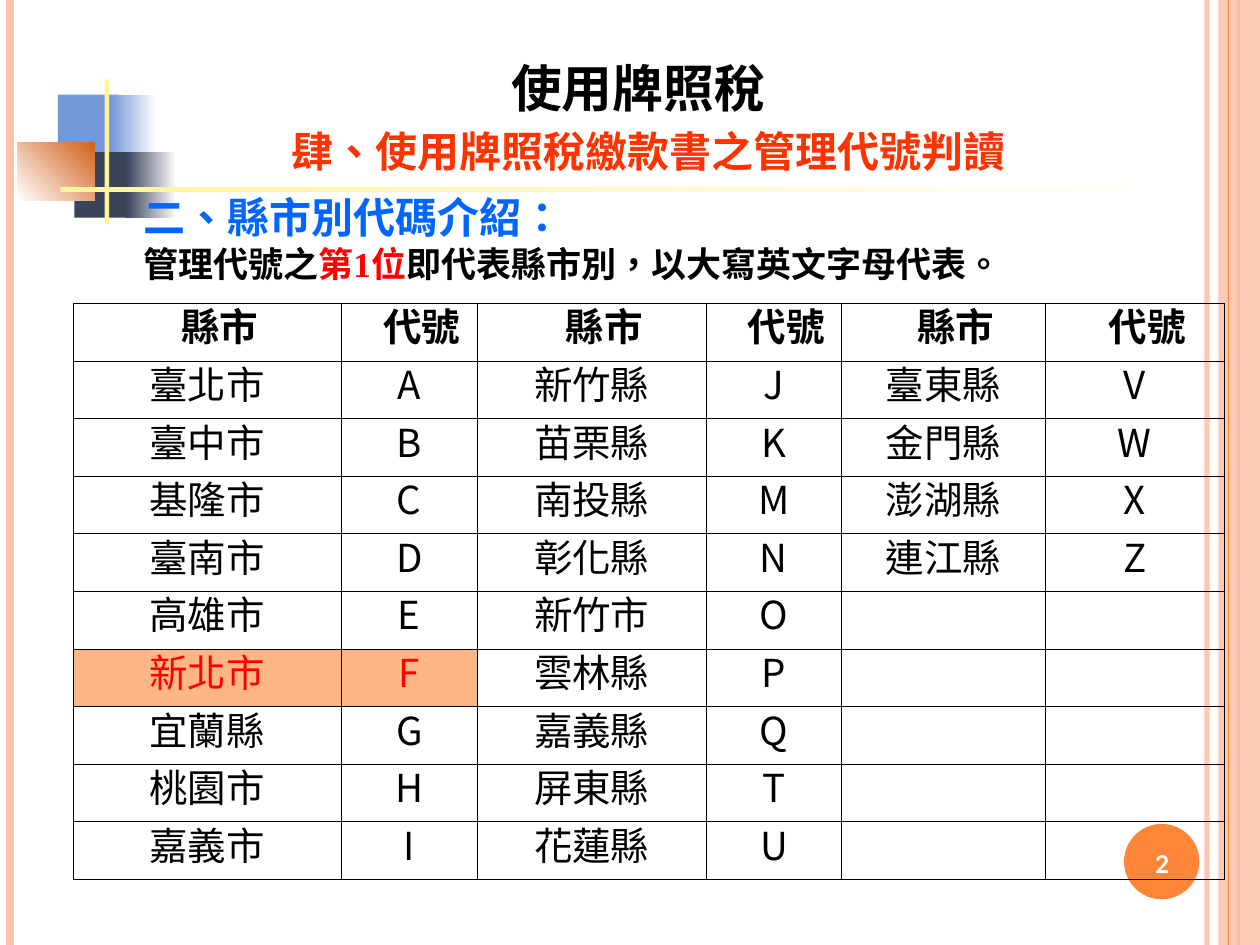
import pptx
import pptx.util
import pptx.dml.color
import pptx.enum.shapes
import pptx.enum.text
import pptx.enum.lang
import pptx.oxml
import pptx.oxml.ns
import lxml.etree

Cm, Pt = pptx.util.Cm, pptx.util.Pt
ALIGN = pptx.enum.text.PP_ALIGN
ANCHOR = pptx.enum.text.MSO_ANCHOR
KIND = pptx.enum.shapes.MSO_SHAPE
TAIWAN = pptx.enum.lang.MSO_LANGUAGE_ID.TRADITIONAL_CHINESE
SERIF, SANS = "Times New Roman", "Noto Sans CJK SC"
WIDE, HIGH = 25.4, 19.05

TITLE = "使用牌照稅"
BODY = [
    ([("肆、使用牌照稅繳款書之管理代號判讀", "FF3300")], 24,
     dict(alignment=ALIGN.CENTER, line_spacing=1.1, space_before=Pt(6)), 0),
    ([("二、縣市別代碼介紹：", "0066FF")], 24,
     dict(alignment=ALIGN.LEFT, line_spacing=1.1, space_before=Pt(6)), 1.16),
    ([("管理代號之", "000000"), ("第1位", "FF0000"),
      ("即代表縣市別，以大寫英文字母代表。", "000000")], 20,
     dict(alignment=ALIGN.LEFT, line_spacing=1.0, space_before=Pt(0)), 1.16),
]
HEAD = ("縣市", "代號")
GROUPS = [
    [("臺北市", "A"), ("臺中市", "B"), ("基隆市", "C"), ("臺南市", "D"), ("高雄市", "E"),
     ("新北市", "F"), ("宜蘭縣", "G"), ("桃園市", "H"), ("嘉義市", "I")],
    [("新竹縣", "J"), ("苗栗縣", "K"), ("南投縣", "M"), ("彰化縣", "N"), ("新竹市", "O"),
     ("雲林縣", "P"), ("嘉義縣", "Q"), ("屏東縣", "T"), ("花蓮縣", "U")],
    [("臺東縣", "V"), ("金門縣", "W"), ("澎湖縣", "X"), ("連江縣", "Z")],
]
MARKED = "新北市"
COLS = [5.41, 2.74, 4.62, 2.72, 4.11, 3.61]
ROW = 1.16

RULES = [(24.33, "FEC3AE", 3, 93), (0.2, "FEC3AE", 4.5, 100), (24.97, "FE8637", 1.5, 100)]
EDGE = (24.77, "FE8637", 0.75, 100)
BAND = (24.56, 0, 0.84, HIGH)
BADGE = (22.66, 16.61, 1.52, 1.52)
BLOCKS = [
    ((1.17, 1.91, 1.22, 1.32), ["7598D9"], 0),
    ((2.24, 1.91, 0.91, 1.32), ["7598D9", "FFFFFF"], 0),
    ((1.5, 3.07, 1.17, 1.32), ["3B435B"], 0),
    ((2.54, 3.07, 1.02, 1.32), ["3B435B", "FFFFFF"], 0),
    ((0.36, 2.87, 1.55, 1.17), ["FFFFFF", "D2611C"], 45),
    ((2.11, 1.6, 0.09, 2.92), ["FFF39D"], 0),
    ((1.22, 3.78, 22.86, 0.09), ["FFF39D", "FFFFFF"], 0),
]


def put(obj, **vals):
    """Set each named attribute on an object."""
    for key, val in vals.items():
        setattr(obj, key, val)


def paint(fill, code, alpha=100):
    """Fill with a hex colour at an opacity in percent."""
    fill.solid()
    fill.fore_color.rgb = pptx.dml.color.RGBColor.from_string(code)
    if alpha < 100:
        clr = next(fill._xPr.iter(pptx.oxml.ns.qn("a:srgbClr")))
        lxml.etree.SubElement(clr, pptx.oxml.ns.qn("a:alpha"), val=str(alpha * 1000))


def move(shape, box):
    """Place a shape at left, top, width and height in cm."""
    put(shape, **dict(zip(("left", "top", "width", "height"), map(Cm, box))))


def block(shapes, box, codes, turn=0, alpha=100, kind=KIND.RECTANGLE):
    """Draw a borderless shape in one colour or a gradient."""
    shape = shapes.add_shape(kind, *map(Cm, box))
    shape.shadow.inherit = False
    shape.line.fill.background()
    if len(codes) == 1:
        paint(shape.fill, codes[0], alpha)
        return
    shape.fill.gradient()
    shape.fill.gradient_angle = turn
    for stop, code in zip(shape.fill.gradient_stops, codes):
        stop.color.rgb = pptx.dml.color.RGBColor.from_string(code)


def rule(shapes, x, code, width, alpha):
    """Draw a full-height vertical line."""
    line = shapes.add_connector(pptx.enum.shapes.MSO_CONNECTOR.STRAIGHT,
                                Cm(x), 0, Cm(x), Cm(HIGH))
    line.line.width = Pt(width)
    paint(line.line.fill, code, alpha)
    lxml.etree.SubElement(line._element.spPr, pptx.oxml.ns.qn("a:effectLst"))


def write(para, text, code, size, name=SERIF, bold=True):
    """Add a formatted run to a paragraph."""
    run = para.add_run()
    run.text = text
    put(run.font, size=Pt(size), name=name, bold=bold, language_id=TAIWAN)
    paint(run.font.fill, code)


def indent(para, left):
    """Set a left margin in cm and drop the bullet."""
    props = para._p.get_or_add_pPr()
    props.set("marL", str(Cm(left)))
    props.set("indent", "0")
    lxml.etree.SubElement(props, pptx.oxml.ns.qn("a:buNone"))


def border(cell):
    """Give a cell thin black lines on all sides."""
    props = cell._tc.get_or_add_tcPr()
    for spot, side in enumerate("LRTB"):
        props.insert(spot, pptx.oxml.parse_xml(
            f'<a:ln{side} {pptx.oxml.ns.nsdecls("a")} w="5715"><a:solidFill>'
            f'<a:srgbClr val="000000"/></a:solidFill></a:ln{side}>'))


def grid(shapes):
    """Build the table of counties and codes."""
    count = 1 + max(map(len, GROUPS))
    table = shapes.add_table(count, len(COLS), Cm(1.47), Cm(6.12),
                             Cm(sum(COLS)), Cm(ROW * count)).table
    put(table, first_row=False, horz_banding=False)
    for col, width in zip(table.columns, COLS):
        col.width = Cm(width)
    for r in range(count):
        table.rows[r].height = Cm(ROW)
        for c in range(len(COLS)):
            part = ([HEAD] + GROUPS[c // 2])[r:r + 1] or [("", "")]
            head, hot = r == 0, part[0][0] == MARKED
            cell = table.cell(r, c)
            put(cell, vertical_anchor=ANCHOR.MIDDLE,
                margin_left=Cm(0.2), margin_right=Cm(0.2))
            if hot:
                paint(cell.fill, "FEB687")
            else:
                cell.fill.background()
            border(cell)
            para = cell.text_frame.paragraphs[0]
            put(para, alignment=ALIGN.CENTER, line_spacing=Pt(23 if head else 24))
            if head:
                indent(para, 0.5)
            if part[0][c % 2]:
                write(para, part[0][c % 2], "FF0000" if hot else "000000", 22,
                      SERIF if head else SANS, head)


def main():
    """Build and save the slide."""
    deck = pptx.Presentation()
    put(deck, slide_width=Cm(WIDE), slide_height=Cm(HIGH))
    slide = deck.slides.add_slide(deck.slide_layouts[1])
    shapes = slide.shapes
    title, body = slide.placeholders
    for item in RULES:
        rule(shapes, *item)
    block(shapes, BAND, ["FEC3AE"], alpha=87)
    rule(shapes, *EDGE)
    block(shapes, BADGE, ["FE8637"], kind=KIND.OVAL)
    for box, codes, turn in BLOCKS:
        block(shapes, box, codes, turn)

    move(title, (0.89, 0.58, 23.95, 1.93))
    move(body, (1.47, 2.31, 23.22, 16))
    for shape, anchor in ((title, ANCHOR.BOTTOM), (body, ANCHOR.TOP)):
        put(shape.text_frame, vertical_anchor=anchor, word_wrap=True,
            auto_size=pptx.enum.text.MSO_AUTO_SIZE.NONE)
        shapes._spTree.append(shape._element)
    para = title.text_frame.paragraphs[0]
    para.alignment = ALIGN.CENTER
    write(para, TITLE, "000000", 29)

    frame = body.text_frame
    for spot, (runs, size, look, left) in enumerate(BODY):
        para = frame.add_paragraph() if spot else frame.paragraphs[0]
        put(para, **look)
        indent(para, left)
        for text, code in runs:
            write(para, text, code, size)

    page = shapes.add_textbox(*map(Cm, (22.58, 16.69, 1.7, 1.45))).text_frame
    put(page, word_wrap=True, vertical_anchor=ANCHOR.MIDDLE)
    page.paragraphs[0].alignment = ALIGN.CENTER
    write(page.paragraphs[0], "2", "FFFFFF", 14, "Lato")
    grid(shapes)
    deck.save("out.pptx")


if __name__ == "__main__":
    main()
